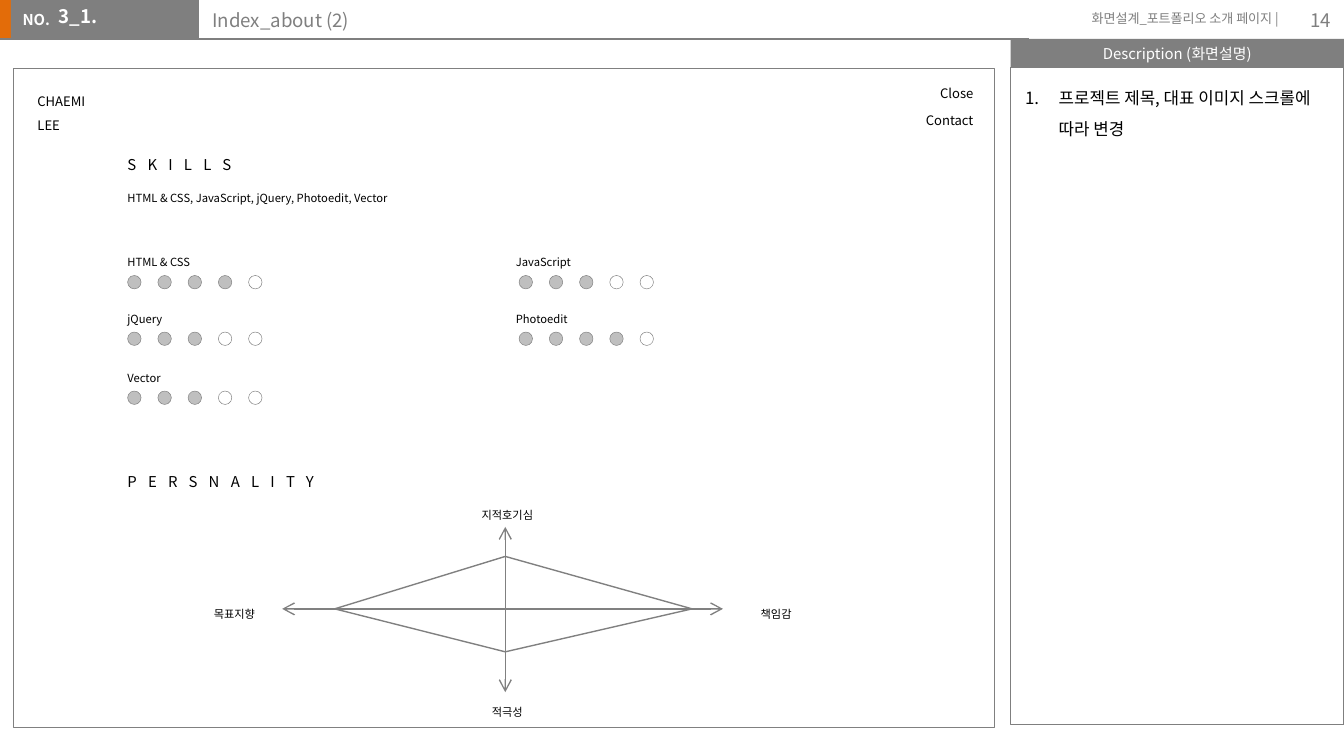
from pptx import Presentation
from pptx.util import Pt
from pptx.dml.color import RGBColor as RGB
from pptx.enum.shapes import MSO_SHAPE as Kind, MSO_CONNECTOR as Link
from pptx.enum.text import PP_ALIGN as Align, MSO_ANCHOR as Anchor, MSO_AUTO_SIZE as Auto
from pptx.oxml.ns import qn
from lxml.etree import SubElement as Sub

FONT = "Noto Sans CJK KR"
GRAY, EDGE, WHITE, BLACK = "7F7F7F", "808080", "FFFFFF", "000000"
INSET = (7.2, 3.6, 7.2, 3.6)


def tint(part, color):
    part.rgb = RGB.from_string(color)


def apply(item, style):
    for key, val in style.items():
        setattr(item, key, val)


def write(shape, text, size, color=BLACK, bold=False, track=0, inset=INSET,
          align=Align.LEFT, space=None, anchor=Anchor.TOP, grow=False):
    frame = shape.text_frame
    sides = ("margin_left", "margin_top", "margin_right", "margin_bottom")
    apply(frame, dict(zip(sides, map(Pt, inset))))
    apply(frame, {"word_wrap": True, "vertical_anchor": anchor, "text": text,
                  "auto_size": Auto.SHAPE_TO_FIT_TEXT if grow else Auto.NONE})
    for para in frame.paragraphs:
        apply(para, {"alignment": align, "line_spacing": space})
        for run in para.runs:
            apply(run.font, {"name": FONT, "size": Pt(size), "bold": bold})
            tint(run.font.color, color)
            props = run.font._element
            Sub(props, qn("a:ea")).set("typeface", FONT)
            if track:
                props.set("spc", str(track * 100))
    return frame


def label(at, text, size, **style):
    box = shapes.add_textbox(*map(Pt, at))
    return write(box, text, size, **style)


def block(at, fill=None, edge=None, width=0.25, kind=Kind.RECTANGLE):
    shape = shapes.add_shape(kind, *map(Pt, at))
    shape.shadow.inherit = False
    if fill:
        shape.fill.solid()
        tint(shape.fill.fore_color, fill)
    else:
        shape.fill.background()
    if edge:
        tint(shape.line.color, edge)
        shape.line.width = Pt(width)
    else:
        shape.line.fill.background()
    return shape


def rule(start, end, color=EDGE, heads=False):
    line = shapes.add_connector(Link.STRAIGHT, *map(Pt, (*start, *end)))
    tint(line.line.color, color)
    line.line.width = Pt(0.75)
    props = line._element.spPr
    if heads:
        for tag in ("a:headEnd", "a:tailEnd"):
            Sub(props.find(qn("a:ln")), qn(tag)).set("type", "arrow")
    Sub(props, qn("a:effectLst"))


def indent(frame, left, hang, number=False):
    props = frame.paragraphs[0]._p.get_or_add_pPr()
    props.set("marL", str(Pt(left)))
    props.set("indent", str(-Pt(hang)))
    if number:
        Sub(Sub(props, qn("a:buClr")), qn("a:srgbClr")).set("val", BLACK)
        Sub(props, qn("a:buFont")).set("typeface", FONT)
        Sub(props, qn("a:buAutoNum")).set("type", "arabicPeriod")


def header(x, y, w, h):
    block((x - 0.7, y, 8.6, h), "E36C09")
    block((x + 5.8, y, 100.8, h), GRAY)
    label((x + 5, y + 2.2, 29.5, 17.3), "NO.", 8, color=WHITE, bold=True)
    rule((x, y + h), (x + 551.5, y + h), GRAY)
    label((x + 549.4, y + 2.2, 142.6, 17.3), "화면설계_포트폴리오 소개 페이지 |", 7,
          color=GRAY, align=Align.RIGHT)
    label((x + w - 43.2, y, 43.2, 21.6), "14", 10, color=GRAY,
          align=Align.RIGHT, anchor=Anchor.MIDDLE)
    tight = {"inset": (7.2, 3, 7.2, 0), "anchor": Anchor.MIDDLE}
    mark = label((x + 6.5, y - 4.3, 79.2, 22.3), "3_1.", 10, color=WHITE, bold=True, **tight)
    indent(mark, 36, 18)
    title = shapes.title
    places = ("left", "top", "width", "height")
    apply(title, dict(zip(places, map(Pt, (x + 106.6, y - 2.2, 442.1, 23)))))
    write(title, "Index_about (2)", 10, color=GRAY, **tight)


def panel(x, y, w, h):
    bar = block((x, y, w, 15.1), GRAY)
    write(bar, "Description (화면설명)", 8, color=WHITE, align=Align.CENTER,
          anchor=Anchor.MIDDLE, inset=(6.5, 2.9, 6.5, 2.9))
    block((x, y + 15.1, w, h - 15.1), edge=GRAY, width=0.75)
    note = label((x + 0.7, y + 17.3, w - 0.7, h - 17.3),
                 "프로젝트 제목, 대표 이미지 스크롤에 따라 변경", 9, space=1.5)
    indent(note, 18, 18, True)


def rating(x, y, name, score, shift):
    label((x, y, 144, 18), name, 6, space=1.5, grow=True)
    for step in range(5):
        block((x + shift + step * 16.2, y + 18, 7.2, 7.2),
              "BFBFBF" if step < score else WHITE, EDGE, kind=Kind.OVAL)


def skills(x, y):
    label((x, y, 122.4, 21.6), "SKILLS", 8, track=6, space=1.5, grow=True)
    label((x, y + 20.2, 287.3, 18), "HTML & CSS, JavaScript, jQuery, Photoedit, Vector", 6,
          space=1.5, grow=True)
    items = (("HTML & CSS", 4), ("JavaScript", 3), ("jQuery", 3),
             ("Photoedit", 4), ("Vector", 3))
    tops = (54.7, 85, 116.6)
    for i, (name, score) in enumerate(items):
        row, col = divmod(i, 2)
        rating(x + col * 208.1, y + tops[row], name, score, 7.2 + col * 1.6)


def traits(x, y):
    label((x, y, 132.5, 21.6), "PERSNALITY", 8, track=6, space=1.5, grow=True)
    mid, axis = x + 209.5, y + 81.4
    rule((mid - 119.5, axis), (mid + 116.6, axis), heads=True)
    rule((mid, axis - 43.9), (mid, axis + 44.6), heads=True)
    names = (("지적호기심", -25.2, -61.2), ("목표지향", -171.4, -7.9),
             ("책임감", 118.8, -7.9), ("적극성", -25.2, 44.6))
    for name, dx, dy in names:
        label((mid + dx, axis + dy, 52.6, 18), name, 6, align=Align.CENTER,
              space=1.5, grow=True)
    ring = ((mid + 100.1, axis), (mid, axis - 28.1), (mid - 91.4, axis), (mid, axis + 23))
    for start, end in zip(ring, ring[1:] + ring[:1]):
        rule(start, end)


def screen(x, y, w, h):
    block((x, y, w, h), WHITE, EDGE)
    for i, name in enumerate(("Close", "Contact")):
        label((x + w - 44.6, y + 5.8 + i * 14.2, 40.3, 15.8), name, 7,
              align=Align.RIGHT, grow=True)
    label((x + 5.8, y + 5.8, 47.5, 32.4), "CHAEMI\nLEE", 7, space=1.5, grow=True)
    skills(x + 54, y + 38.2)
    traits(x + 54, y + 208.1)


deck = Presentation()
apply(deck, {"slide_width": Pt(720), "slide_height": Pt(405)})
slide = deck.slides.add_slide(deck.slide_layouts[5])
shapes = slide.shapes
header(0, 0, 720, 20.9)
panel(541.4, 20.9, 178.6, 367.2)
screen(7.2, 36.7, 525.6, 352.8)
deck.save("out.pptx")
